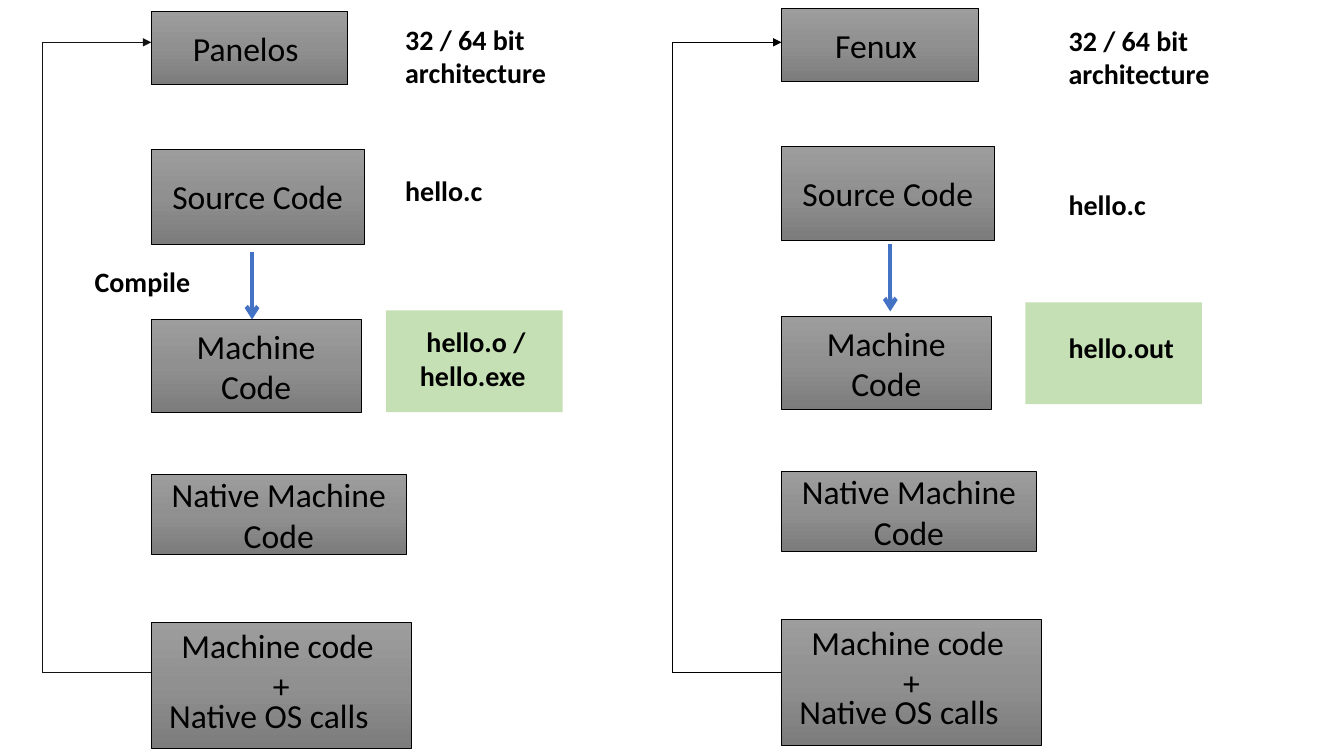
from copy import deepcopy

from pptx import Presentation
from pptx.dml.color import RGBColor
from pptx.enum.shapes import MSO_CONNECTOR, MSO_SHAPE
from pptx.enum.text import MSO_ANCHOR, PP_ALIGN
from pptx.oxml.ns import qn
from pptx.oxml.xmlchemy import OxmlElement
from pptx.util import Pt

PX = 9144
RECT = MSO_SHAPE.RECTANGLE
LINE = MSO_CONNECTOR.STRAIGHT
LEFT, MID, RIGHT = PP_ALIGN.LEFT, PP_ALIGN.CENTER, PP_ALIGN.RIGHT
TOP, CENTER = MSO_ANCHOR.TOP, MSO_ANCHOR.MIDDLE
FONT = "Calibri"
BLACK, BLUE, GREEN = "000000", "4472C4", "C5E0B4"
GREYS = ["9D9D9D", "909090", "7C7C7C"]
RAIL_X, RAIL_TOP, RAIL_END = -108, 42, 667


def px(*nums):
    return [round(n * PX) for n in nums]


def color(code):
    return RGBColor.from_string(code)


def write(shape, text, size=24, bold=False, align=LEFT, anchor=TOP, wrap=True, foot=5):
    frame = shape.text_frame
    frame.word_wrap = wrap
    frame.vertical_anchor = anchor
    frame.margin_bottom = foot * PX
    frame.text = text
    for para in frame.paragraphs:
        para.alignment = align
        font = para.font
        font.name, font.size, font.bold = FONT, Pt(size), bold
        font.color.rgb = color(BLACK)


def label(slide, box, text, **form):
    write(slide.shapes.add_textbox(*px(*box)), text, **form)


def note(slide, box, text, align=LEFT):
    label(slide, box, text, size=20, bold=True, align=align, wrap=align == RIGHT)


def shade(shape):
    fill = shape.fill
    fill.gradient()
    fill.gradient_angle = 270
    stops = shape._element.find(".//" + qn("a:gsLst"))
    stops.insert(1, deepcopy(stops[0]))
    for stop, place, code in zip(fill.gradient_stops, (0, 0.5, 1), GREYS):
        stop.position = place
        stop.color.rgb = color(code)


def block(slide, box, text, foot=5):
    shape = slide.shapes.add_shape(RECT, *px(*box))
    shape.shadow.inherit = False
    shade(shape)
    shape.line.color.rgb = color(BLACK)
    shape.line.width = Pt(0.5)
    write(shape, text, align=MID, anchor=CENTER, foot=foot)


def patch(slide, box):
    shape = slide.shapes.add_shape(RECT, *px(*box))
    shape.shadow.inherit = False
    shape.fill.solid()
    shape.fill.fore_color.rgb = color(GREEN)
    shape.line.fill.background()


def link(slide, ends, code, width, head=None):
    wire = slide.shapes.add_connector(LINE, *px(*ends))
    wire.line.color.rgb = color(code)
    wire.line.width = Pt(width)
    if head:
        tail = OxmlElement("a:tailEnd")
        tail.set("type", head)
        wire.line._get_or_add_ln().append(tail)
    wire._element.spPr.append(OxmlElement("a:effectLst"))


def chain(slide, left, top, name):
    steps = [
        (0, 195, 73, name + " "),
        (137, 211, 94, "Source Code"),
        (306, 208, 92, "Machine Code"),
        (460, 253, 79, "Native Machine Code"),
    ]
    for down, wide, high, text in steps:
        block(slide, (left, top + down, wide, high), text)
    block(slide, (left, top + 606, 258, 125), "Machine code \n+", foot=45)
    label(slide, (left + 8, top + 673, 233, 50), "Native OS calls")


def rail(slide, left, code):
    side = left + RAIL_X
    link(slide, (left, RAIL_END, side, RAIL_END), code, 1)
    link(slide, (side, RAIL_TOP, left, RAIL_TOP), code, 1, "triangle")
    link(slide, (side, RAIL_TOP, side, RAIL_END), code, 1)


def panel(slide, left, top, name, ink, arrow, green, notes):
    patch(slide, (*green, 175, 101))
    chain(slide, left, top, name)
    rail(slide, left, ink)
    across, down = arrow
    link(slide, (across, down, across, down + 67), BLUE, 3, "arrow")
    for item in notes:
        note(slide, *item)


def main():
    deck = Presentation()
    deck.slide_width, deck.slide_height = px(1333, 750)
    slide = deck.slides.add_slide(deck.slide_layouts[6])
    bits = "32 / 64 bit\narchitecture"
    panel(slide, 150, 11, "Panelos", "131313", (250, 250), (383, 308), [
        ((392, 17, 161, 77), bits),
        ((392, 167, 98, 44), "hello.c"),
        ((84, 258, 116, 44), "Compile"),
        ((392, 317, 139, 77), "hello.o /\nhello.exe", RIGHT),
    ])
    panel(slide, 775, 8, "Fenux", BLACK, (883, 242), (1017, 300), [
        ((1050, 18, 161, 77), bits),
        ((1050, 181, 98, 44), "hello.c"),
        ((1050, 323, 126, 44), "hello.out"),
    ])
    deck.save("out.pptx")


if __name__ == "__main__":
    main()
